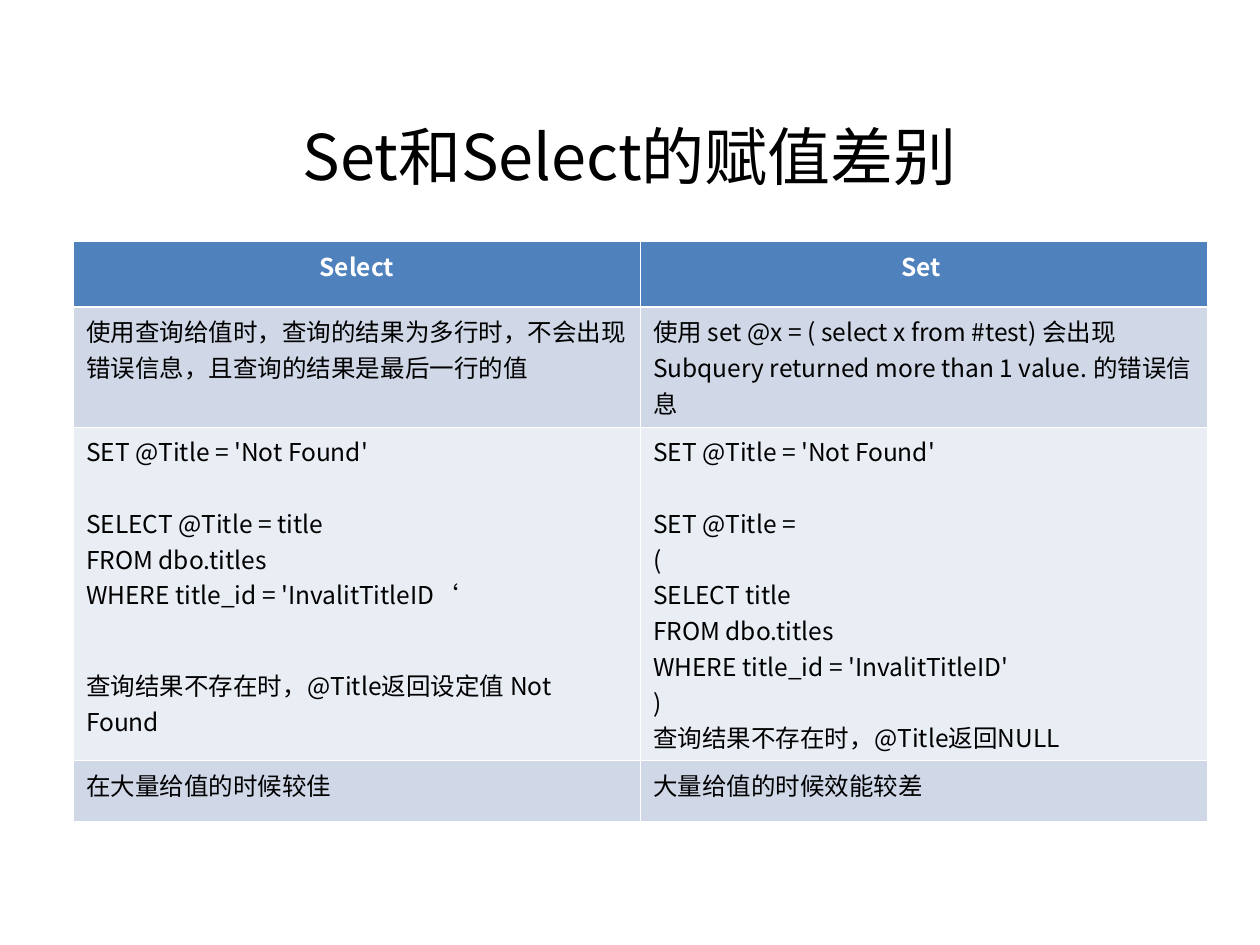
from lxml import etree
from pptx import Presentation
from pptx.dml.color import RGBColor
from pptx.enum.text import MSO_ANCHOR, PP_ALIGN
from pptx.oxml.ns import qn
from pptx.util import Cm, Pt

CENTER, LEFT = PP_ALIGN.CENTER, PP_ALIGN.LEFT
MIDDLE = MSO_ANCHOR.MIDDLE
FONT = "Noto Sans CJK SC"
COLORS = {
    "text": "000000",
    "header_text": "FFFFFF",
    "border": "FFFFFF",
    "header": "4F81BD",
    "dark_band": "D0D8E8",
    "light_band": "E9EDF4",
}


def write_paragraph(paragraph, text, alignment, color, font_values):
    paragraph.alignment = alignment
    run = paragraph.add_run()
    run.text = text
    for name, value in {"name": FONT, **font_values}.items():
        setattr(run.font, name, value)
    run.font.color.rgb = RGBColor.from_string(COLORS[color])
    east_asian = etree.SubElement(run.font._element, qn("a:ea"))
    east_asian.set("typeface", FONT)


def add_border(cell, side, width):
    properties = cell._tc.get_or_add_tcPr()
    line = etree.SubElement(properties, qn(f"a:ln{side}"), w=str(Pt(width)))
    fill = etree.SubElement(line, qn("a:solidFill"))
    etree.SubElement(fill, qn("a:srgbClr"), val=COLORS["border"])


presentation = Presentation()
presentation.slide_width = Cm(25.4)
presentation.slide_height = Cm(19.05)
slide = presentation.slides.add_slide(presentation.slide_layouts[6])

title = slide.shapes.add_textbox(Cm(1.27), Cm(1.7), Cm(22.86), Cm(2.54))
title_format = {"word_wrap": True, "vertical_anchor": MIDDLE, "margin_top": Cm(0.45)}
for name, value in title_format.items():
    setattr(title.text_frame, name, value)
write_paragraph(title.text_frame.paragraphs[0], "Set和Select的赋值差别",
                CENTER, "text", {"size": Pt(36)})

rows = [
    (1.32, "header", [["Select"], ["Set "]]),
    (2.42, "dark_band", [
        ["使用查询给值时，查询的结果为多行时，不会出现错误信息，且查询的结果是最后一行的值"],
        ["使用 set @x = ( select x from #test) 会出现Subquery returned more than 1 value. 的错误信息"],
    ]),
    (6.72, "light_band", [
        ["SET @Title = 'Not Found'",
         "SELECT @Title = title",
         "FROM dbo.titles",
         "WHERE title_id = 'InvalitTitleID‘",
         "查询结果不存在时，@Title返回设定值 Not Found"],
        ["SET @Title = 'Not Found'",
         "SET @Title =",
         "(",
         "SELECT title",
         "FROM dbo.titles",
         "WHERE title_id = 'InvalitTitleID'",
         ")",
         "查询结果不存在时，@Title返回NULL"],
    ]),
    (1.22, "dark_band", [["在大量给值的时候较佳"], ["大量给值的时候效能较差"]]),
]
space_after = {
    "SET @Title = 'Not Found'": Pt(20.5),
    "WHERE title_id = 'InvalitTitleID‘": Pt(31.5),
}

table_height = sum(height for height, band, texts in rows)
table = slide.shapes.add_table(
    len(rows), 2, Cm(1.48), Cm(4.87), Cm(22.86), Cm(table_height)).table
for column in table.columns:
    column.width = Cm(11.43)

for row_index, (height, band, texts) in enumerate(rows):
    table.rows[row_index].height = Cm(height)
    is_header = row_index == 0
    alignment = CENTER if is_header else LEFT
    color = "header_text" if is_header else "text"
    border_widths = {
        "L": 0.45,
        "R": 0.45,
        "T": 1.47 if row_index == 1 else 0.45,
        "B": 1.47 if is_header else 0.45,
    }
    for column_index, lines in enumerate(texts):
        cell = table.cell(row_index, column_index)
        for side, width in border_widths.items():
            add_border(cell, side, width)
        cell.fill.solid()
        cell.fill.fore_color.rgb = RGBColor.from_string(COLORS[band])
        for line_index, line in enumerate(lines):
            frame = cell.text_frame
            paragraph = frame.add_paragraph() if line_index else frame.paragraphs[0]
            write_paragraph(paragraph, line, alignment, color,
                            {"size": Pt(14), "bold": is_header})
            if line in space_after:
                paragraph.space_after = space_after[line]

presentation.save("out.pptx")
